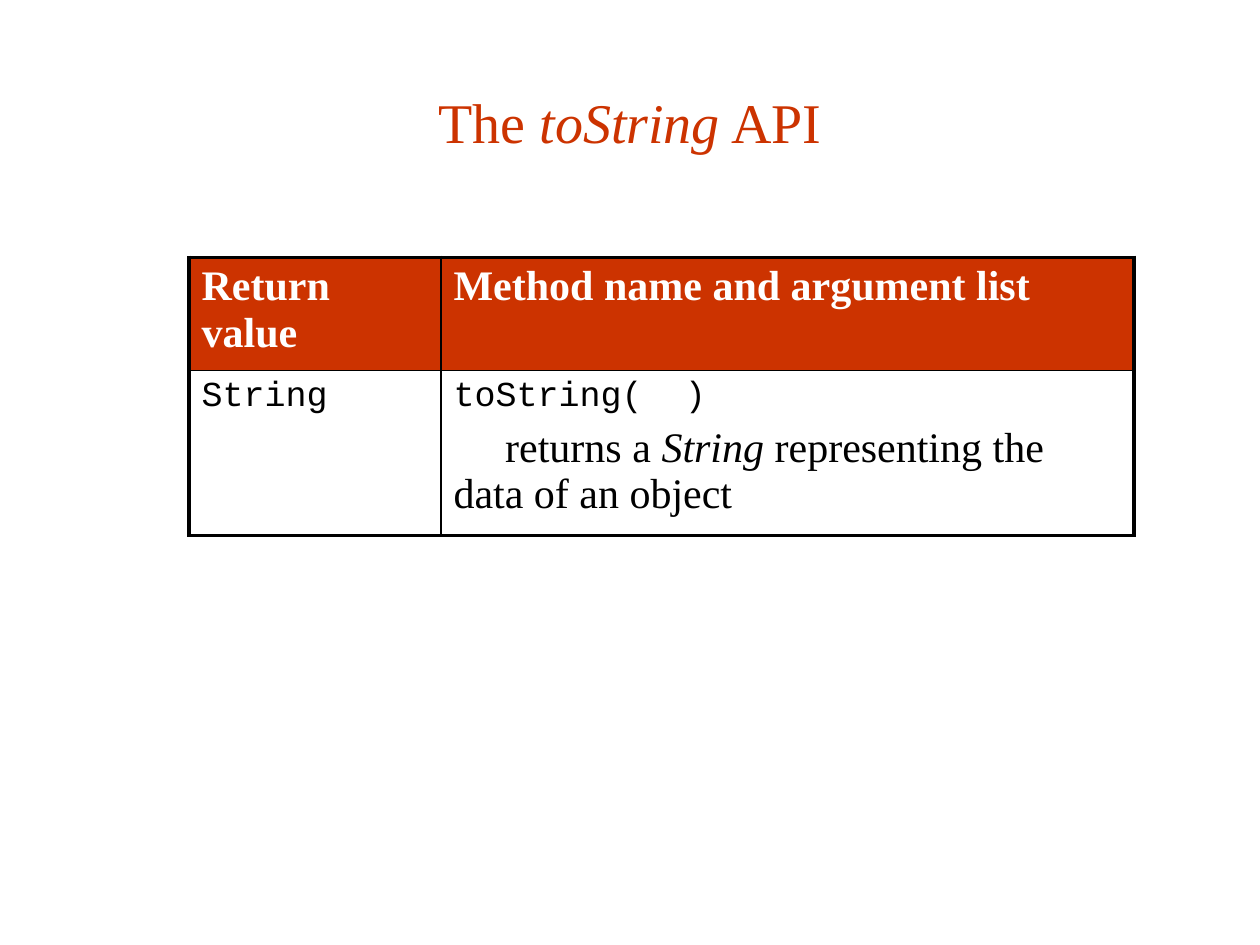
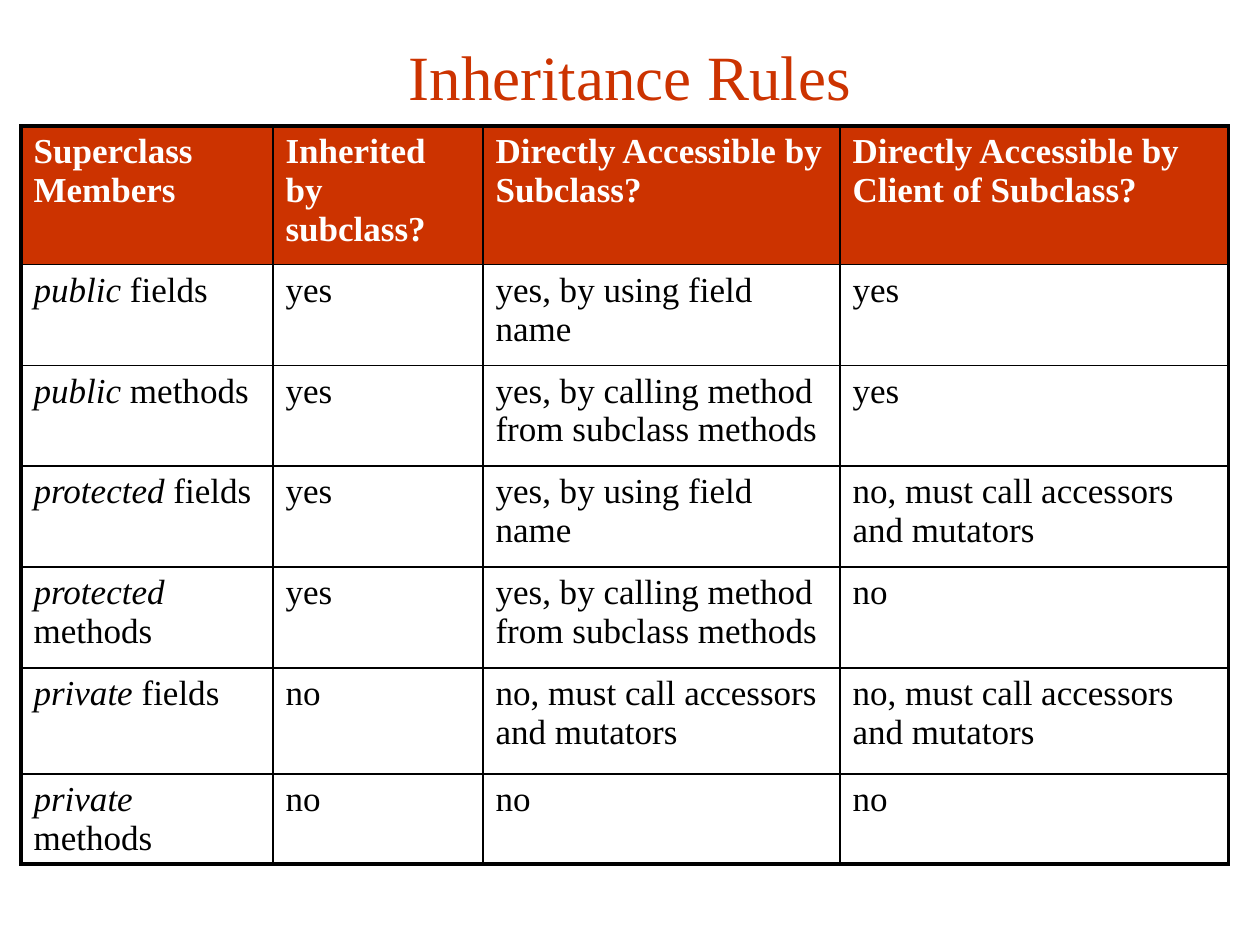
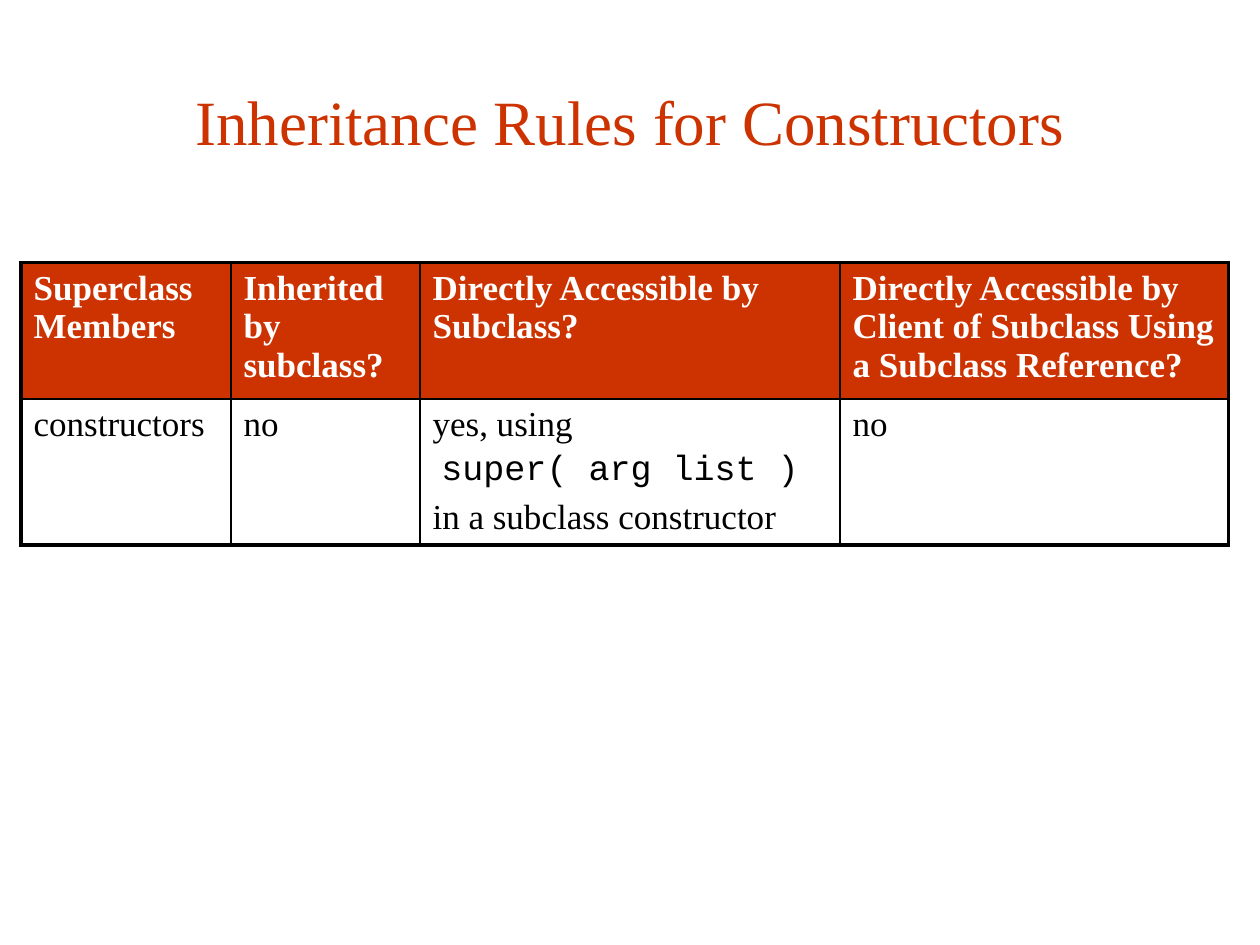
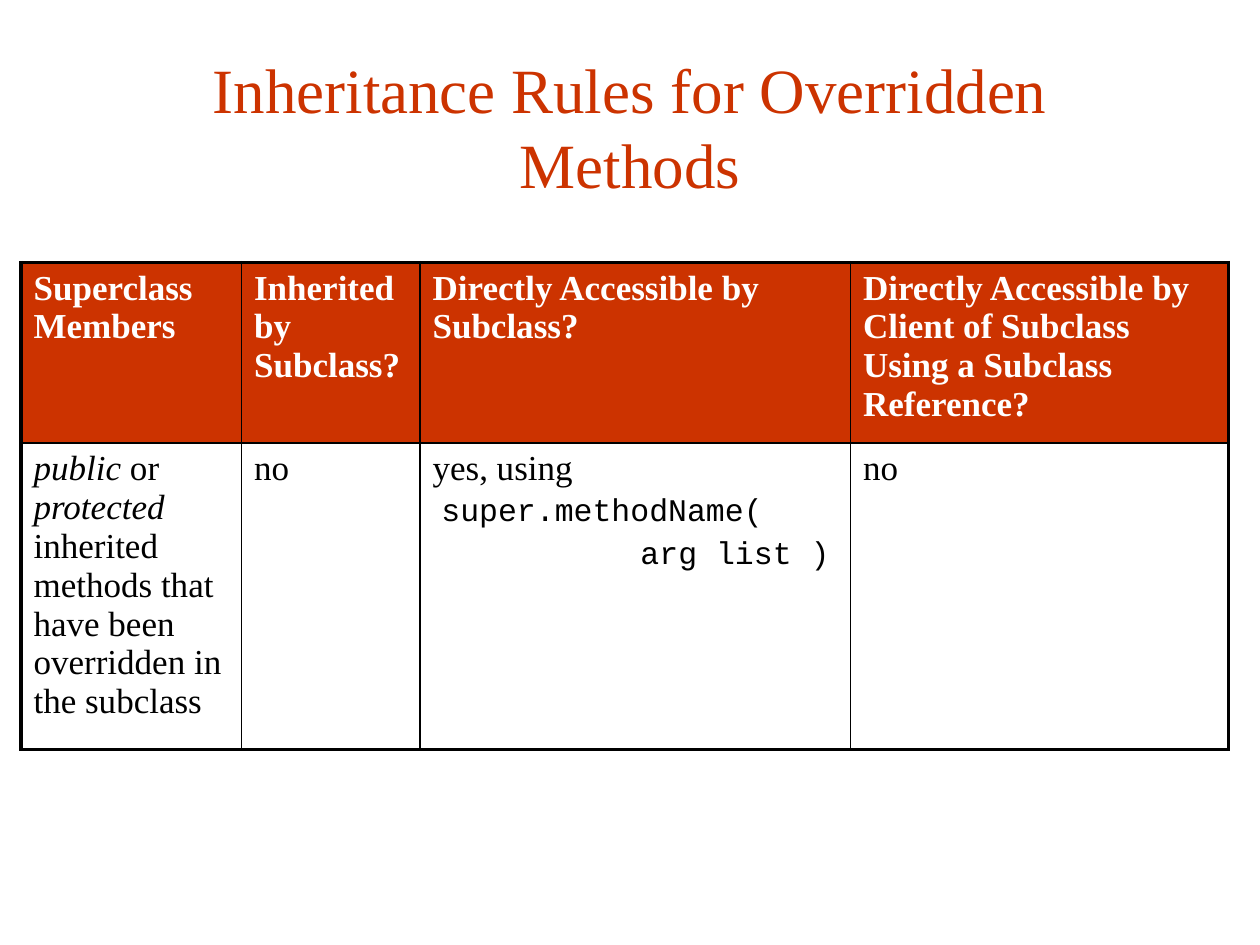
"""Build four slides of tables on inheritance and the toString method."""
import pptx
import pptx.dml.color
import pptx.enum.text
import pptx.oxml
import pptx.oxml.ns
import pptx.util

RGBColor = pptx.dml.color.RGBColor
RUST = RGBColor(0xCC, 0x33, 0x00)
WHITE = RGBColor(0xFF, 0xFF, 0xFF)
BLACK = RGBColor(0x00, 0x00, 0x00)
SERIF = "Times New Roman"
MONO = "Courier New"
THICK, THIN = 2.25, 1

deck = pptx.Presentation()
deck.slide_width = pptx.util.Inches(10)
deck.slide_height = pptx.util.Inches(7.5)
UNIT = deck.slide_width / 120
TITLE_LEFT, TITLE_WIDTH = 9, 102


def write(para, text, size=20, font=SERIF, color=BLACK, bold=False, indent=0):
    """Fill a paragraph; words between asterisks become italic."""
    if indent:
        para._p.get_or_add_pPr().set("indent", str(pptx.util.Inches(indent)))
    for order, chunk in enumerate(text.split("*")):
        if chunk:
            span = para.add_run()
            span.text = chunk
            span.font.name = font
            span.font.size = pptx.util.Pt(size)
            span.font.color.rgb = color
            span.font.bold = bold
            span.font.italic = order % 2 == 1


def draw_border(cell, side, width):
    """Draw one solid black side of a table cell."""
    cell._tc.get_or_add_tcPr().append(pptx.oxml.parse_xml(
        f'<a:ln{side} {pptx.oxml.ns.nsdecls("a")} w="{pptx.util.Pt(width)}">'
        f'<a:solidFill><a:srgbClr val="{BLACK}"/></a:solidFill></a:ln{side}>'))


ACCESSORS = "no, must call accessors and mutators"
FIELD = "yes, by using field name"
CALL = "yes, by calling method from subclass methods"
MEMBERS = "Superclass Members"
INHERITED = "Inherited by subclass?"
DIRECT = "Directly Accessible by Subclass?"
CLIENT = "Directly Accessible by Client of Subclass Using a Subclass Reference?"

SLIDES = [
    {"title": "The *toString* API", "title_size": 32, "title_top": 8, "title_height": 7,
     "left": 18, "top": 24.5, "columns": [24, 66], "rows": [10.8, 15.7], "size": 24,
     "cells": [
         ["Return value", "Method name and argument list"],
         [[("String", {"font": MONO, "size": 20})],
          [("toString(  )", {"font": MONO, "size": 20}),
           ("returns a *String* representing the data of an object", {"indent": 0.41})]]]},
    {"title": "Inheritance Rules", "title_size": 36, "title_top": 5, "title_height": 4.3,
     "left": 2, "top": 12, "columns": [24, 20, 34, 37],
     "rows": [13.2] + [9.6] * 4 + [10.1, 8.4], "size": 20,
     "cells": [
         [MEMBERS, INHERITED, DIRECT, "Directly Accessible by Client of Subclass?"],
         ["*public* fields", "yes", FIELD, "yes"],
         ["*public* methods", "yes", CALL, "yes"],
         ["*protected* fields", "yes", FIELD, ACCESSORS],
         ["*protected* methods", "yes", CALL, "no"],
         ["*private* fields", "no", ACCESSORS, ACCESSORS],
         ["*private* methods", "no", "no", "no"]]},
    {"title": "Inheritance Rules for Constructors", "title_size": 36,
     "title_top": 9.1, "title_height": 4.8,
     "left": 2, "top": 25, "columns": [20, 18, 40, 37], "rows": [13, 13.9], "size": 20,
     "cells": [
         [MEMBERS, INHERITED, DIRECT, CLIENT],
         ["constructors", "no",
          [("yes, using", {}),
           ("super( arg list )", {"font": MONO, "indent": 0.07}),
           ("in a subclass constructor", {})],
          "no"]]},
    {"title": "Inheritance Rules for Overridden Methods", "title_size": 36,
     "title_top": 5, "title_height": 14,
     "left": 2, "top": 25, "columns": [21, 17, 41, 36], "rows": [17.2, 29.2], "size": 20,
     "cells": [
         [MEMBERS, "Inherited by Subclass?", DIRECT, CLIENT],
         ["*public* or *protected* inherited methods that have been overridden in the subclass",
          "no",
          [("yes, using", {}),
           ("super.methodName(", {"font": MONO, "size": 18, "indent": 0.07}),
           ("           arg list )", {"font": MONO, "size": 18})],
          "no"]]},
]

for content in SLIDES:
    page = deck.slides.add_slide(deck.slide_layouts[5])
    title = page.shapes.title
    title.left, title.top, title.width, title.height = (
        round(UNIT * length) for length in
        (TITLE_LEFT, content["title_top"], TITLE_WIDTH, content["title_height"]))
    frame = title.text_frame
    frame.auto_size = pptx.enum.text.MSO_AUTO_SIZE.NONE
    frame.word_wrap = True
    frame.vertical_anchor = pptx.enum.text.MSO_ANCHOR.MIDDLE
    frame.paragraphs[0].alignment = pptx.enum.text.PP_ALIGN.CENTER
    write(frame.paragraphs[0], content["title"], size=content["title_size"], color=RUST)

    columns, rows = content["columns"], content["rows"]
    table = page.shapes.add_table(
        len(rows), len(columns),
        *(round(UNIT * length) for length in
          (content["left"], content["top"], sum(columns), sum(rows)))).table
    table.horz_banding = False
    table.first_row = False
    for column, width in zip(table.columns, columns):
        column.width = round(UNIT * width)
    for row, height in zip(table.rows, rows):
        row.height = round(UNIT * height)

    for row_number, row_cells in enumerate(content["cells"]):
        is_header = row_number == 0
        for column_number, lines in enumerate(row_cells):
            cell = table.cell(row_number, column_number)
            outer_sides = {
                "L": column_number == 0, "R": column_number == len(columns) - 1,
                "T": is_header, "B": row_number == len(rows) - 1}
            for side, is_outer in outer_sides.items():
                draw_border(cell, side, THICK if is_outer else THIN)
            if is_header:
                cell.fill.solid()
                cell.fill.fore_color.rgb = RUST
            else:
                cell.fill.background()
            if isinstance(lines, str):
                lines = [(lines, {})]
            for line_number, (text, style) in enumerate(lines):
                if line_number == 0:
                    para = cell.text_frame.paragraphs[0]
                else:
                    para = cell.text_frame.add_paragraph()
                    para.space_before = pptx.util.Pt(content["size"] * 0.2)
                look = {"size": content["size"], "bold": is_header,
                        "color": WHITE if is_header else BLACK}
                write(para, text, **{**look, **style})

deck.save("out.pptx")
